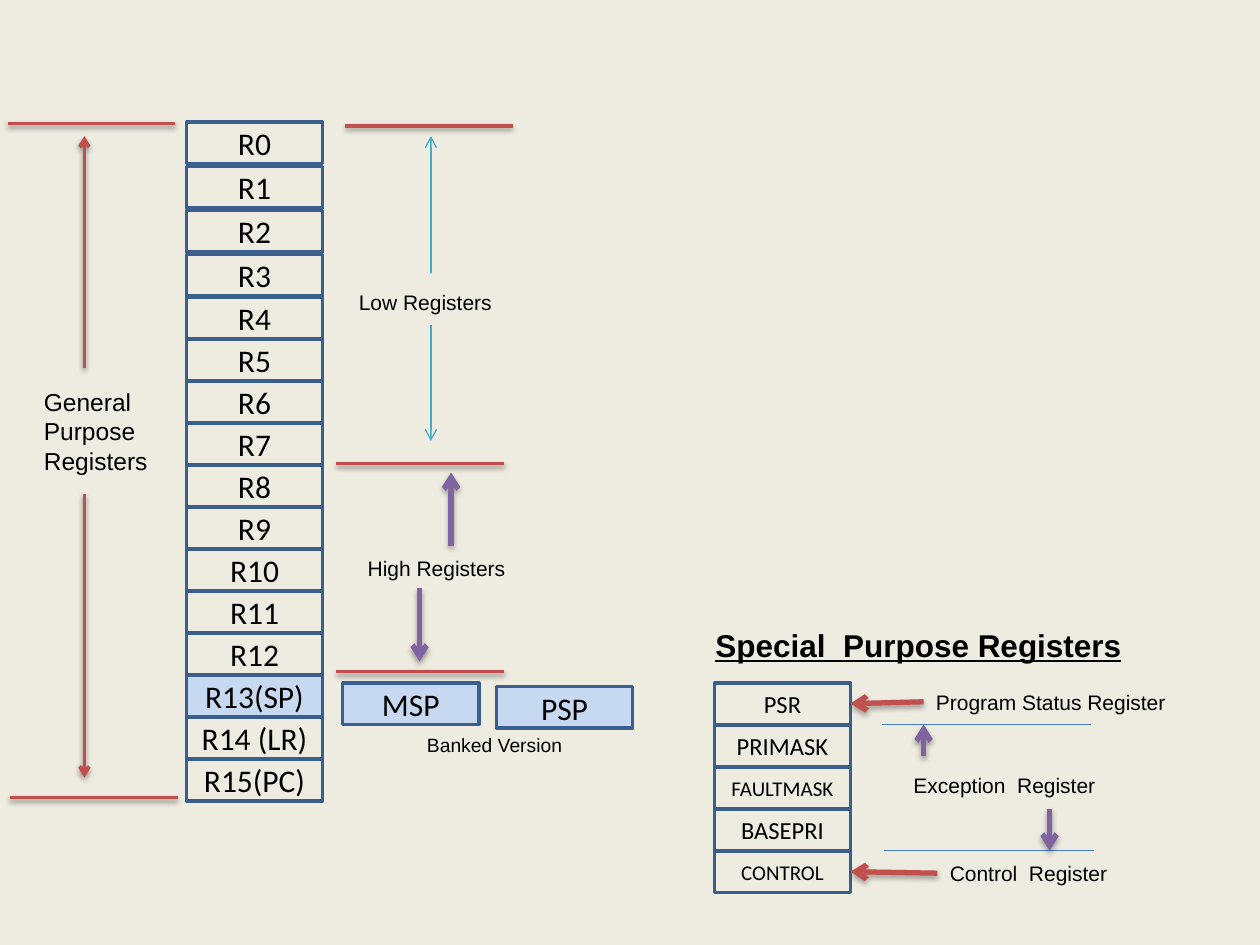
from lxml import etree
from pptx import Presentation
from pptx.dml.color import RGBColor
from pptx.enum.shapes import MSO_CONNECTOR, MSO_SHAPE
from pptx.enum.text import MSO_ANCHOR, MSO_AUTO_SIZE, PP_ALIGN
from pptx.oxml.ns import qn
from pptx.util import Inches, Pt

RECTANGLE = MSO_SHAPE.RECTANGLE
STRAIGHT = MSO_CONNECTOR.STRAIGHT
MIDDLE = MSO_ANCHOR.MIDDLE
CENTER = PP_ALIGN.CENTER
FIT_TEXT = MSO_AUTO_SIZE.SHAPE_TO_FIT_TEXT
RIGHT_SIDE = 3

CREAM = RGBColor(0xEE, 0xEC, 0xE1)
BLACK = RGBColor(0, 0, 0)
NAVY = RGBColor(0x3A, 0x5F, 0x8C)
PALE_BLUE = RGBColor(0xC6, 0xD9, 0xF1)
RED = RGBColor(0xC0, 0x50, 0x4D)
TEAL = RGBColor(0x46, 0xAA, 0xC5)
PURPLE = RGBColor(0x80, 0x64, 0xA2)
BLUE = RGBColor(0x4B, 0x7E, 0xBC)

prs = Presentation()
prs.slide_width, prs.slide_height = Inches(10), Inches(7.5)
slide = prs.slides.add_slide(prs.slide_layouts[6])
slide.background.fill.solid()
slide.background.fill.fore_color.rgb = CREAM


def add_register(name, left, top, size=18, banked=False):
    box = slide.shapes.add_shape(RECTANGLE, Inches(left), Inches(top), Inches(1.08), Inches(0.33))
    box.shadow.inherit = False
    if banked:
        box.fill.solid()
        box.fill.fore_color.rgb = PALE_BLUE
    else:
        box.fill.background()
    box.line.color.rgb = NAVY
    box.line.width = Pt(2)
    box.text_frame.vertical_anchor = MIDDLE
    paragraph = box.text_frame.paragraphs[0]
    paragraph.text = name
    paragraph.alignment = CENTER
    paragraph.font.name = "Calibri"
    paragraph.font.size = Pt(size)
    paragraph.font.color.rgb = BLACK
    return box


def add_line(start, end, color, width, arrow=False):
    line = slide.shapes.add_connector(STRAIGHT, *[Inches(v) for v in (*start, *end)])
    line.line.color.rgb = color
    line.line.width = Pt(width)
    if arrow:
        etree.SubElement(line.line._get_or_add_ln(), qn("a:tailEnd"), type="arrow")
    effects = etree.SubElement(line._element.spPr, qn("a:effectLst"))
    # Only the heavier lines cast a shadow
    if width >= 2:
        distance, opacity = (1.8, 35000) if width == 3 else (1.6, 38000)
        shadow = etree.SubElement(effects, qn("a:outerShdw"), blurRad=str(Pt(3.1)),
                                  dist=str(Pt(distance)), dir="5400000", rotWithShape="0")
        shadow_color = etree.SubElement(shadow, qn("a:srgbClr"), val="000000")
        etree.SubElement(shadow_color, qn("a:alpha"), val=str(opacity))
    return line


# General purpose registers: R0 to R3 are spaced a little wider
general_names = [f"R{i}" for i in range(13)] + ["R13(SP)", "R14 (LR)", "R15(PC)"]
for i, name in enumerate(general_names):
    top = 0.97 + 0.35 * i if i < 4 else 2.36 + (i - 4) / 3
    add_register(name, 1.48, top, banked=name == "R13(SP)")

# Special purpose registers
special_sizes = {"PSR": 14, "PRIMASK": 14, "FAULTMASK": 12, "BASEPRI": 14, "CONTROL": 12}
special = {}
for i, (name, size) in enumerate(special_sizes.items()):
    special[name] = add_register(name, 5.67, 5.42 + i / 3, size)

# Banked versions of the stack pointer
add_register("MSP", 2.72, 5.42, banked=True)
add_register("PSP", 3.94, 5.45, banked=True)

# Boundary lines of the groups
for left, y in [(0.06, 0.98), (0.08, 6.33), (2.74, 1), (2.67, 3.68), (2.67, 5.33)]:
    add_line((left, y), (left + 1.33, y), RED, 2)
for left, y in [(7, 5.75), (7.02, 6.75)]:
    add_line((left, y), (left + 1.66, y), BLUE, 0.75)

# Vertical arrows that span each group
for x, start, end, color, width in [
    (0.67, 2.92, 1.08, RED, 2),
    (0.67, 3.92, 6.17, RED, 2),
    (3.42, 2.17, 1.08, TEAL, 0.75),
    (3.42, 2.58, 3.5, TEAL, 0.75),
    (3.58, 4.33, 3.75, PURPLE, 3),
    (3.33, 4.67, 5.25, PURPLE, 3),
    (7.33, 6, 5.75, PURPLE, 3),
    (8.33, 6.42, 6.75, PURPLE, 3),
]:
    add_line((x, start), (x, end), color, width, arrow=True)

# Arrows from the descriptions to their registers
for name, start in [("PSR", (7.33, 5.57)), ("CONTROL", (7.44, 6.93))]:
    pointer = add_line(start, (6.75, start[1]), RED, 3, arrow=True)
    pointer.end_connect(special[name], RIGHT_SIDE)

# Labels: lines, left, top, width, height, size, wrap, left inset
for lines, left, top, width, height, size, wrap, inset in [
    (["General", "Purpose", "Registers"], 0.25, 3.02, 1.03, 0.81, 14, False, 0.1),
    (["Low Registers"], 2.75, 2.25, 1.26, 0.3, 12, False, 0.1),
    (["High Registers"], 2.82, 4.36, 1.3, 0.3, 12, False, 0.1),
    (["Banked Version"], 3.29, 5.77, 1.29, 0.29, 11, False, 0.1),
    (["Special  Purpose Registers"], 5.58, 4.92, 3.46, 0.4, 18, False, 0.1),
    (["Program Status Register"], 7.33, 5.42, 2.17, 0.3, 12, True, 0.1),
    (["Exception  Register"], 7.06, 6.08, 2.17, 0.3, 12, True, 0.19),
    (["Control  Register"], 7.44, 6.78, 2.17, 0.3, 12, True, 0.1),
]:
    label = slide.shapes.add_textbox(Inches(left), Inches(top), Inches(width), Inches(height))
    frame = label.text_frame
    frame.word_wrap = wrap
    frame.auto_size = FIT_TEXT
    frame.margin_left = Inches(inset)
    frame.text = "\n".join(lines)
    for paragraph in frame.paragraphs:
        paragraph.font.name = "Arial"
        paragraph.font.size = Pt(size)
        paragraph.font.color.rgb = BLACK
        if size == 18:
            paragraph.font.bold = True
            paragraph.font.underline = True

prs.save("out.pptx")
